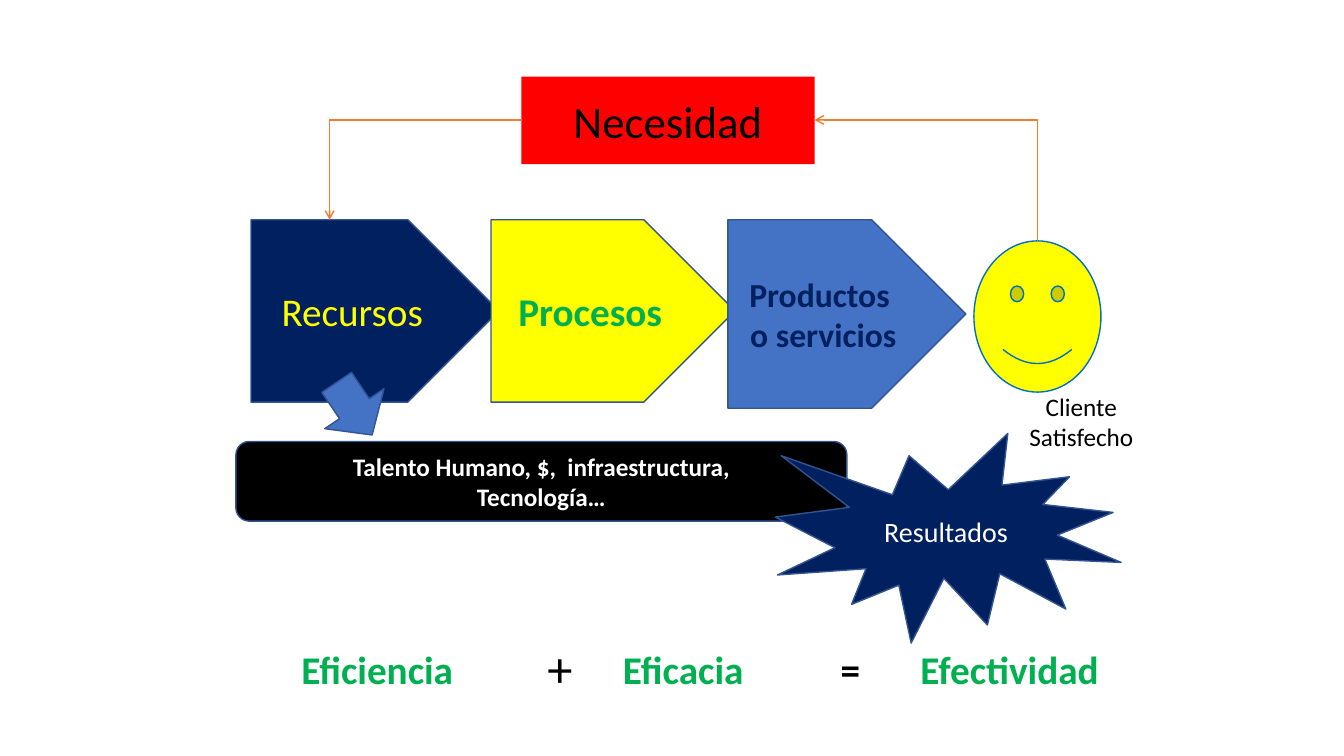
from lxml.etree import SubElement
from pptx import Presentation
from pptx.dml.color import RGBColor
from pptx.enum.shapes import MSO_CONNECTOR, MSO_SHAPE
from pptx.enum.text import MSO_ANCHOR, MSO_AUTO_SIZE, PP_ALIGN
from pptx.oxml.ns import qn
from pptx.util import Inches, Pt

CELL = 0.1  # inches; every length below counts grid cells
NAVY, BLUE, OUTLINE, ORANGE = "002060", "4472C4", "325491", "ED7D31"
YELLOW, GREEN, RED, BLACK, WHITE = "FFFF00", "00B050", "FF0000", "000000", "FFFFFF"


def cells(*counts):
    return [Inches(count * CELL) for count in counts]


def color(hex_value):
    return RGBColor.from_string(hex_value)


def write(shape, text, size, text_color, bold=False, align=PP_ALIGN.CENTER):
    shape.text_frame.text = text
    for paragraph in shape.text_frame.paragraphs:
        paragraph.alignment = align
        font = paragraph.font
        font.name, font.size, font.bold = "Calibri", Pt(size), bold
        font.color.rgb = color(text_color)


def add_block(slide, kind, box, fill, line=OUTLINE):
    shape = slide.shapes.add_shape(kind, *cells(*box))
    shape.shadow.inherit = False
    shape.fill.solid()
    shape.fill.fore_color.rgb = color(fill)
    if line:
        shape.line.color.rgb = color(line)
        shape.line.width = Pt(1)
    else:
        shape.line.fill.background()
    shape.text_frame.vertical_anchor = MSO_ANCHOR.MIDDLE
    return shape


def add_label(slide, box, text, size, text_color, bold=False,
              align=PP_ALIGN.LEFT, wrap=False):
    label = slide.shapes.add_textbox(*cells(*box))
    label.text_frame.word_wrap = wrap
    label.text_frame.auto_size = MSO_AUTO_SIZE.SHAPE_TO_FIT_TEXT
    write(label, text, size, text_color, bold, align)


def add_corner_arrow(slide, start, end, arrow_end):
    """Line that runs level from start, then turns down to end."""
    connector = slide.shapes.add_connector(
        MSO_CONNECTOR.ELBOW, *cells(*start, *end))
    connector.line.color.rgb = color(ORANGE)
    connector.line.width = Pt(1)
    properties = connector._element.spPr
    properties.find(qn("a:prstGeom")).set("prst", "bentConnector2")
    SubElement(properties.find(qn("a:ln")), qn(f"a:{arrow_end}"), type="arrow")
    SubElement(properties, qn("a:effectLst"))


def draw_need(slide, box):
    need = add_block(slide, MSO_SHAPE.RECTANGLE, box, RED, line=None)
    write(need, "Necesidad", 32, BLACK)


def draw_chain(slide, left, top):
    stages = [
        (0, 24.6, 18.1, NAVY, "Recursos", 28, YELLOW, False),
        (23.8, 24.2, 18.1, YELLOW, "Procesos", 28, GREEN, True),
        (47.3, 23.6, 18.7, BLUE, "Productos \vo servicios", 24, NAVY, True),
    ]
    for offset, width, height, fill, text, size, text_color, bold in stages:
        stage = add_block(slide, MSO_SHAPE.PENTAGON,
                          (left + offset, top, width, height), fill)
        write(stage, text, size, text_color, bold)


def draw_resources(slide, left, top, width, height):
    detail = add_block(slide, MSO_SHAPE.ROUNDED_RECTANGLE,
                       (left, top, width, height), BLACK)
    write(detail, "Talento Humano, $,  infraestructura,\nTecnología…",
          18, WHITE, bold=True)
    pointer = add_block(slide, MSO_SHAPE.RIGHT_ARROW,
                        (left + 8.6, top - 6.8, 6.3, 7.1), BLUE)
    pointer.rotation = 56


def draw_results(slide, box):
    burst = add_block(slide, MSO_SHAPE.EXPLOSION1, box, NAVY)
    write(burst, "Resultados", 20, WHITE)


def draw_customer(slide, left, top, width, height):
    add_block(slide, MSO_SHAPE.SMILEY_FACE, (left, top, width, height),
              YELLOW, "0070C0")
    add_label(slide, (left + 2.4, top + height - 0.6, 16.5, 7.1),
              "Cliente Satisfecho", 18, BLACK, align=PP_ALIGN.CENTER, wrap=True)


def draw_equation(slide, left, top, height):
    terms = [
        (0, 17.3, "Eficiencia", GREEN),
        (31.9, 14.2, "Eficacia", GREEN),
        (53.5, 4, "=", BLACK),
        (61.4, 19.9, "Efectividad", GREEN),
    ]
    for offset, width, text, text_color in terms:
        add_label(slide, (left + offset, top, width, height),
                  text, 28, text_color, bold=True)
    add_label(slide, (left + 24.4, top - 0.8, 4.5, height + 1.4), "+", 36, BLACK)


def main():
    presentation = Presentation()
    presentation.slide_width, presentation.slide_height = Inches(13.33), Inches(7.5)
    slide = presentation.slides.add_slide(presentation.slide_layouts[6])
    draw_need(slide, (51.7, 7.6, 29.1, 8.7))
    draw_chain(slide, 24.9, 21.8)
    draw_resources(slide, 23.4, 43.8, 60.6, 7.9)
    draw_results(slide, (76.9, 43, 34.3, 20.8))
    draw_customer(slide, 96.6, 23.9, 12.6, 15)
    add_corner_arrow(slide, (51.7, 11.9), (32.7, 21.8), "tailEnd")
    add_corner_arrow(slide, (80.8, 11.9), (102.9, 23.9), "headEnd")
    draw_equation(slide, 28.9, 63.5, 5.7)
    presentation.save("out.pptx")


if __name__ == "__main__":
    main()
